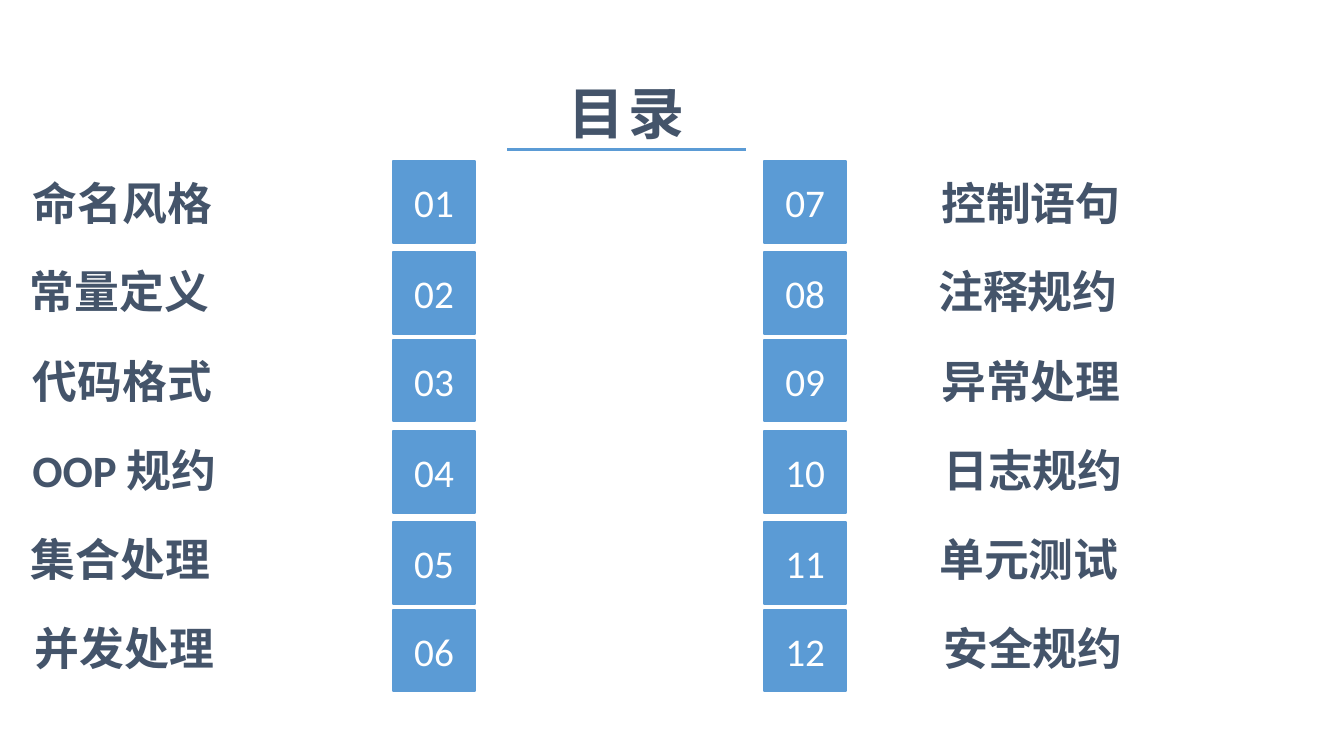
from pptx import Presentation
from pptx.dml.color import RGBColor
from pptx.enum.shapes import MSO_CONNECTOR as CONN, MSO_SHAPE as SHAPE
from pptx.enum.text import MSO_ANCHOR as ANCHOR, PP_ALIGN as ALIGN
from pptx.oxml.ns import qn
from pptx.util import Inches, Pt
from lxml import etree

BLUE, NAVY, WHITE = "5B9BD5", "44546A", "FFFFFF"


def rgb(value):
    return RGBColor.from_string(value)


def write(sp, text, size, color, bold=False):
    tf = sp.text_frame
    tf.word_wrap = True
    p = tf.paragraphs[0]
    p.alignment = ALIGN.CENTER
    r = p.add_run()
    r.text = text
    r.font.name = "Calibri"
    r.font.size = Pt(size)
    r.font.bold = bold
    r.font.color.rgb = rgb(color)
    return r


prs = Presentation()
prs.slide_width, prs.slide_height = Inches(13.33), Inches(7.5)
s = prs.slides.add_slide(prs.slide_layouts[6])

title = s.shapes.add_textbox(Inches(3.52), Inches(0.73), Inches(5.39), Inches(0.77))
r = write(title, "目录", 40, NAVY, True)
r.font._element.set("spc", "300")

rule = s.shapes.add_connector(CONN.STRAIGHT, Inches(5.03), Inches(1.48), Inches(7.4), Inches(1.48))
rule.line.color.rgb = rgb(BLUE)
rule.line.width = Pt(2)
etree.SubElement(rule._element.spPr, qn("a:effectLst"))

columns = [
    (3.9, 0, 0.1, ["命名风格", "常量定义", "代码格式", "OOP 规约", "集合处理", "并发处理"]),
    (7.58, 8.51, 1.1, ["控制语句", "注释规约", "异常处理", "日志规约", "单元测试", "安全规约"]),
]
square_tops = [1.6, 2.5, 3.37, 4.28, 5.18, 6.05]
label_tops = [1.69, 2.57, 3.46, 4.34, 5.23, 6.11]
label_lefts = [-0.31, -0.34, -0.31, -0.29, -0.33, -0.29]

number = 0
for square_left, shift, margin, labels in columns:
    for label, square_top, top, left in zip(labels, square_tops, label_tops, label_lefts):
        number += 1
        sp = s.shapes.add_shape(SHAPE.RECTANGLE, Inches(square_left), Inches(square_top),
                                Inches(0.81), Inches(0.81))
        sp.shadow.inherit = False
        sp.fill.solid()
        sp.fill.fore_color.rgb = rgb(BLUE)
        sp.line.color.rgb = rgb(BLUE)
        sp.line.width = Pt(1.5)
        sp.text_frame.vertical_anchor = ANCHOR.MIDDLE
        write(sp, f"{number:02d}", 28, WHITE)

        box = s.shapes.add_textbox(Inches(left + shift), Inches(top), Inches(3.05), Inches(0.64))
        box.text_frame.margin_left = Inches(margin)
        write(box, label, 32, NAVY, True)

prs.save("out.pptx")
